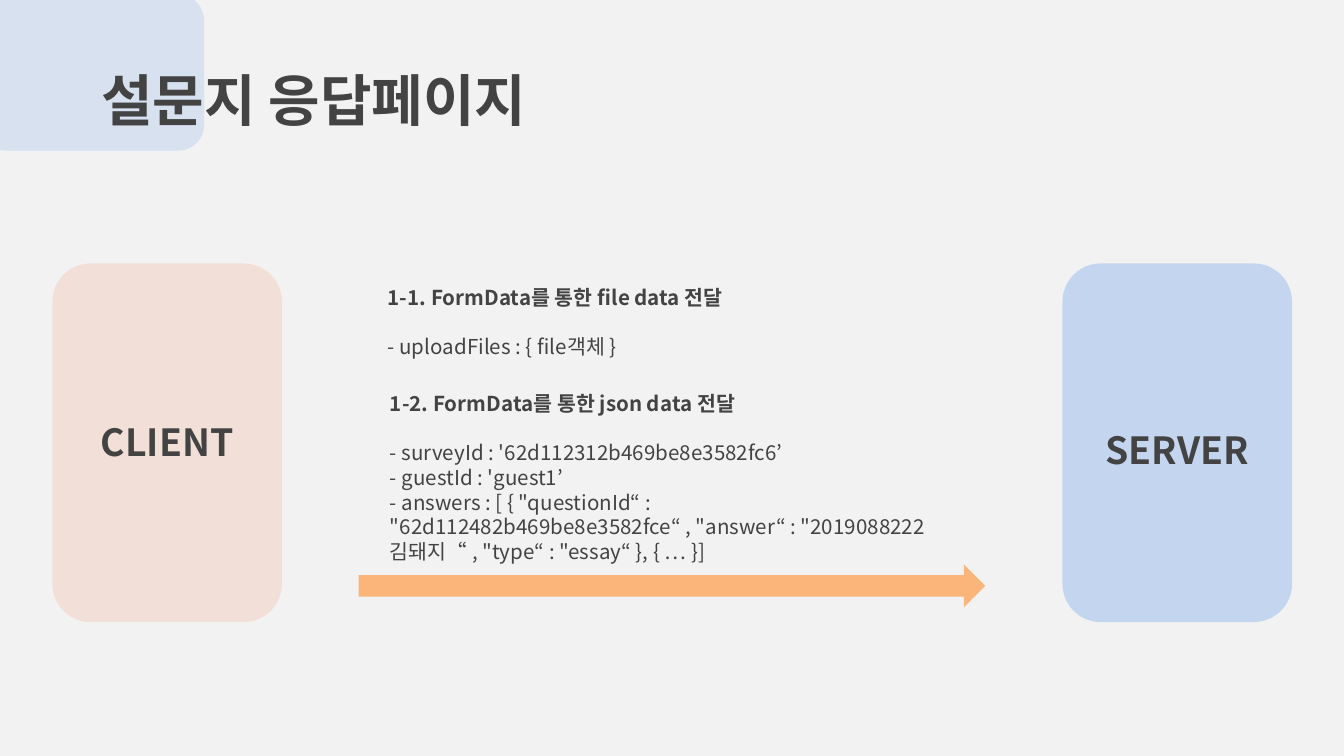
from dataclasses import dataclass

from lxml import etree
from pptx import Presentation
from pptx.dml.color import RGBColor
from pptx.enum.shapes import MSO_SHAPE
from pptx.enum.text import MSO_ANCHOR, PP_ALIGN
from pptx.oxml.ns import qn
from pptx.util import Cm, Pt

ROUNDED = MSO_SHAPE.ROUNDED_RECTANGLE
RIGHT_ARROW = MSO_SHAPE.RIGHT_ARROW
TOP, BOTTOM = MSO_ANCHOR.TOP, MSO_ANCHOR.BOTTOM
LEFT, CENTER = PP_ALIGN.LEFT, PP_ALIGN.CENTER


@dataclass(frozen=True)
class Theme:
    """Colours, font and type sizes of the slide."""
    font: str = "Noto Sans CJK KR"
    background: str = "F2F2F2"
    ink: str = "434343"
    corner: str = "8CB1EE"
    client: str = "F2D9CF"
    server: str = "B5CBF0"
    arrow: str = "FBB479"
    title_size: int = 30
    label_size: int = 20
    body_size: int = 11
    body_gap: float = 13.2


THEME = Theme()


def add_block(slide, kind, box, color, opacity=100):
    """Add a borderless filled shape in a box given in centimetres."""
    shape = slide.shapes.add_shape(kind, *map(Cm, box))
    shape.shadow.inherit = False
    shape.line.fill.background()
    shape.fill.solid()
    shape.fill.fore_color.rgb = RGBColor.from_string(color)
    if opacity < 100:
        color_element = shape.fill._xPr.find(".//" + qn("a:srgbClr"))
        etree.SubElement(color_element, qn("a:alpha"), val=str(opacity * 1000))
    return shape


def add_text(slide, box, lines, size, bold_lines=1, gap=0, align=LEFT, anchor=TOP):
    """Add paragraphs, the first ones bold, with a gap after the bold ones."""
    frame = slide.shapes.add_textbox(*map(Cm, box)).text_frame
    frame.word_wrap = True
    frame.vertical_anchor = anchor
    frame.margin_left = frame.margin_right = Cm(0.25)
    frame.margin_top = frame.margin_bottom = Cm(0.25)
    for index, line in enumerate(lines):
        paragraph = frame.paragraphs[0] if index == 0 else frame.add_paragraph()
        paragraph.alignment = align
        if index == bold_lines:
            paragraph.space_before = Pt(gap)
        run = paragraph.add_run()
        run.text = line
        run.font.size = Pt(size)
        run.font.bold = index < bold_lines
        run.font.name = THEME.font
        run.font.color.rgb = RGBColor.from_string(THEME.ink)
        etree.SubElement(run.font._element, qn("a:ea"), typeface=THEME.font)


def add_header(slide, box):
    """Add the corner block and the title that overlaps it."""
    left, top, width, height = box
    add_block(slide, ROUNDED, box, THEME.corner, opacity=25)
    add_text(slide, (left + 2.03, top + 1.09, 9.42, 2.08),
             ["설문지 응답페이지"], THEME.title_size)


def add_endpoint(slide, box, name, color, label_offset):
    """Add one side of the exchange with its label."""
    left, top, width, height = box
    add_block(slide, ROUNDED, box, color, opacity=74)
    add_text(slide, (left, top + label_offset, width, 1.6), [name],
             THEME.label_size, align=CENTER, anchor=BOTTOM)


def add_request(slide, box):
    """Add the two payload descriptions above the arrow."""
    left, top, width, height = box
    add_text(slide, (left + 0.3, top, 11.02, 2.06), [
        "1-1. FormData를 통한 file data 전달",
        "- uploadFiles : { file객체 }",
    ], THEME.body_size, gap=THEME.body_gap)
    add_text(slide, (left + 0.34, top + 2.01, 11.18, 2.92), [
        "1-2. FormData를 통한 json data 전달",
        "- surveyId : '62d112312b469be8e3582fc6’",
        "- guestId : 'guest1’",
        '- answers : [ { "questionId“ : "62d112482b469be8e3582fce“ , '
        '"answer“ : "2019088222 김돼지“ , "type“ : "essay“ }, { … }]',
    ], THEME.body_size, gap=THEME.body_gap)
    arrow_height = 0.81
    add_block(slide, RIGHT_ARROW,
              (left, top + height - arrow_height, width, arrow_height), THEME.arrow)


def main():
    """Build the survey response slide."""
    presentation = Presentation()
    presentation.slide_width, presentation.slide_height = Cm(25.4), Cm(14.29)
    slide = presentation.slides.add_slide(presentation.slide_layouts[6])
    background = slide.background.fill
    background.solid()
    background.fore_color.rgb = RGBColor.from_string(THEME.background)
    add_header(slide, (-0.36, -0.1, 4.22, 2.95))
    add_endpoint(slide, (0.99, 4.98, 4.34, 6.78), "CLIENT", THEME.client, 2.44)
    add_endpoint(slide, (20.08, 4.98, 4.34, 6.78), "SERVER", THEME.server, 2.59)
    add_request(slide, (6.78, 5.13, 11.84, 6.35))
    presentation.save("out.pptx")


if __name__ == "__main__":
    main()
